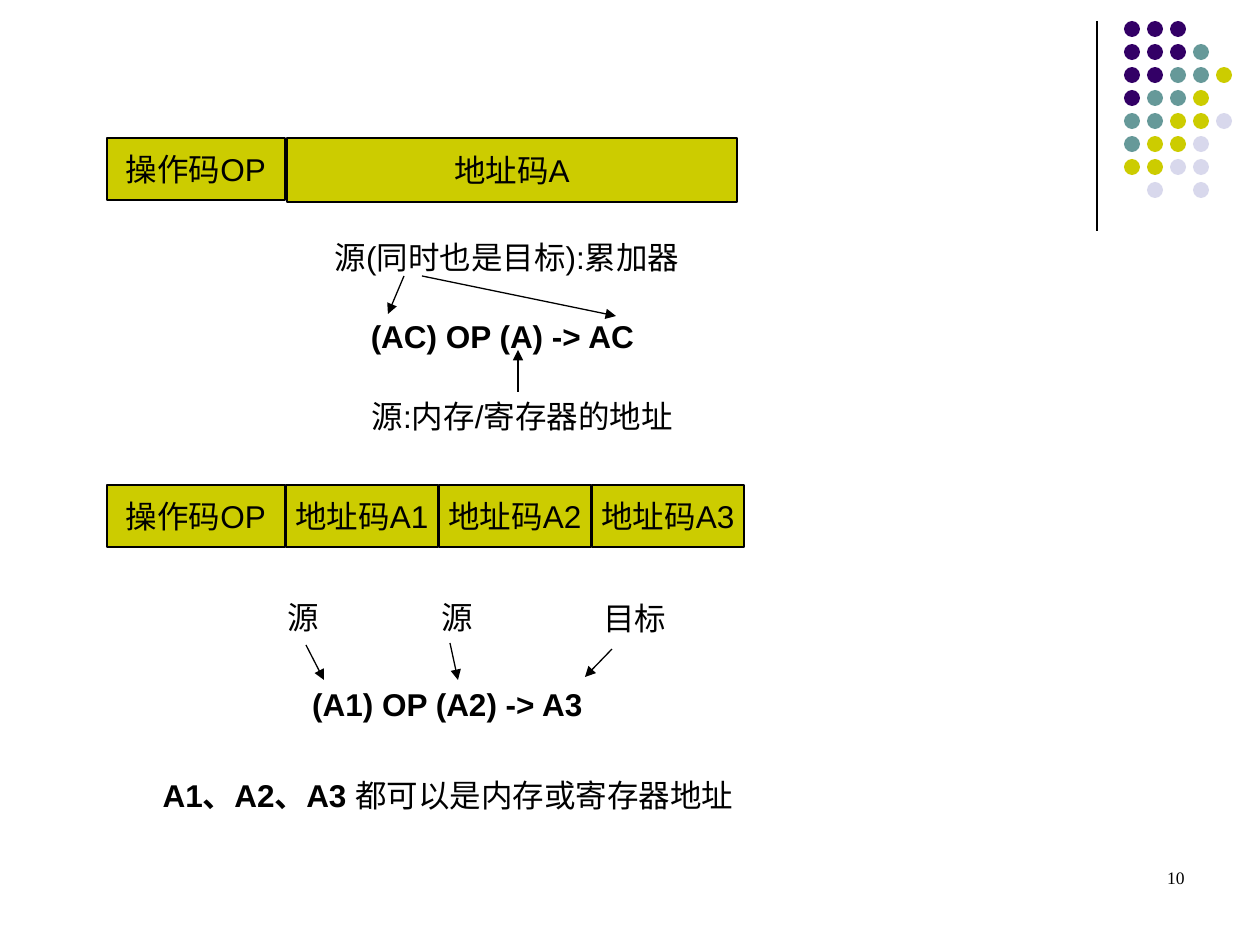
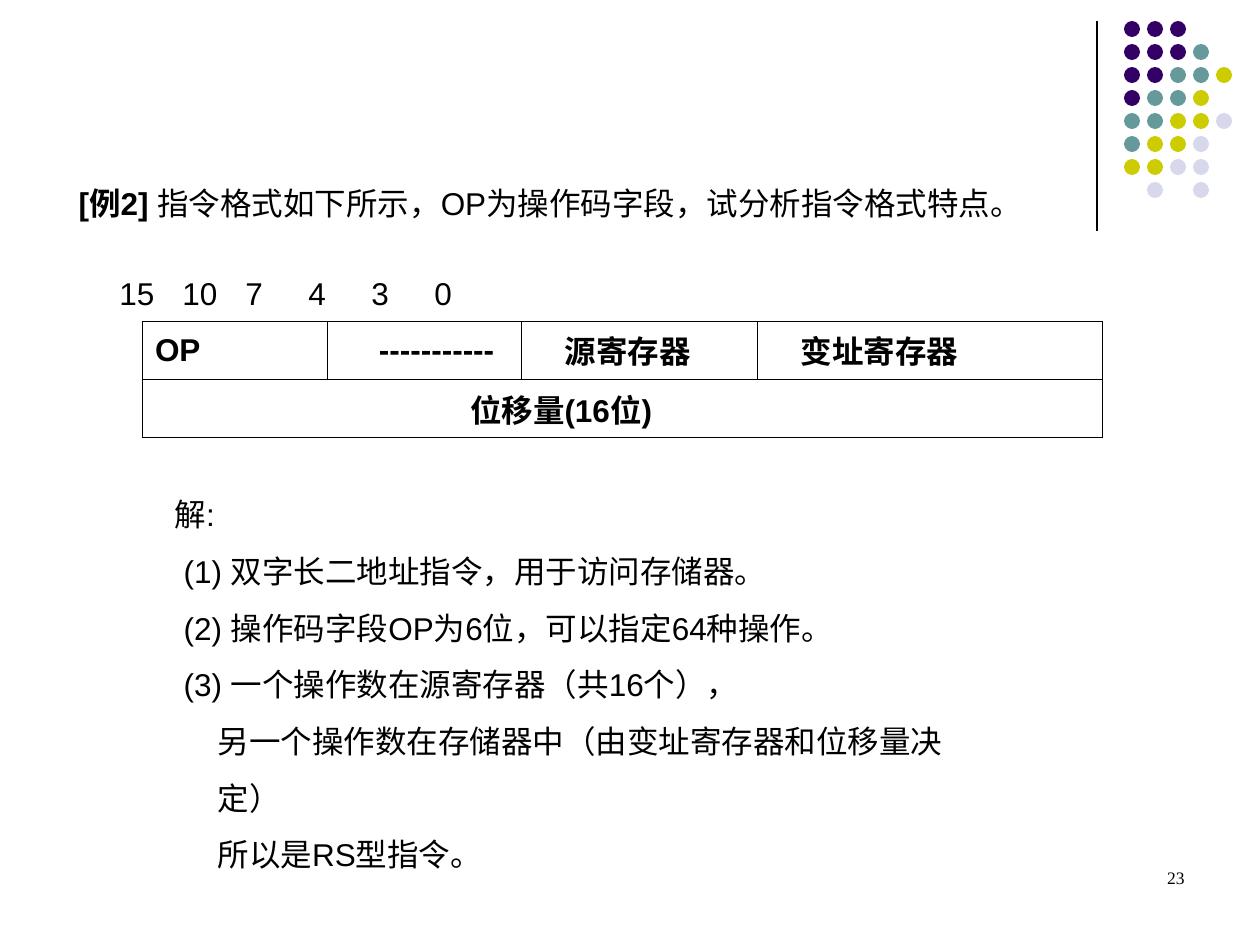
from typing import NamedTuple

from lxml.etree import SubElement
from pptx import Presentation
from pptx.dml.color import RGBColor
from pptx.enum.shapes import MSO_CONNECTOR as Link, MSO_SHAPE as Preset
from pptx.enum.text import MSO_ANCHOR as Anchor, MSO_AUTO_SIZE as AutoSize, PP_ALIGN as Align
from pptx.oxml.ns import qn
from pptx.util import Emu, Pt

# Shared look
BLACK, WHITE, OLIVE = "000000", "FFFFFF", "CCCC00"
DOT_COLORS = {"P": "330066", "T": "669999", "Y": OLIVE, "L": "D8D8EC"}
DOT_ROWS = ["PPP..", "PPPT.", "PPTTY", "PTTY.", "TTYYL", "TYYL.", "YYLL.", ".L.L."]
DOT_LEFT, DOT_TOP, DOT_SIZE, DOT_PITCH = 1124, 21, 16, 23
FONT, NUMBER_FONT = "Arial", "Times New Roman"
INSET = 13
TITLE_AND_CONTENT, BLANK = 1, 6


class Rect(NamedTuple):
    left: int
    top: int
    width: int
    height: int


class Span(NamedTuple):
    text: str
    bold: bool = False


class Field(NamedTuple):
    text: str
    area: Rect


class Label(NamedTuple):
    spans: list[Span]
    area: Rect
    align: Align = Align.CENTER


class Arrow(NamedTuple):
    x1: int
    y1: int
    x2: int
    y2: int


class Item(NamedTuple):
    text: str
    indent: int


class Column(NamedTuple):
    text: str
    width: int
    indent: int


def px(length: int) -> Emu:
    return Emu(round(length * 914400 / 126))


def rgb(value: str) -> RGBColor:
    return RGBColor.from_string(value)


# Text
def write(para, spans: list[Span], *, size: int = 18, font: str = FONT, align: Align = Align.LEFT,
          indent: int = 0, spacing: float = 1.0, tabs: tuple[int, ...] = ()) -> None:
    para.alignment, para.line_spacing = align, spacing
    para.space_before = Pt(0)
    props = para._p.get_or_add_pPr()
    props.set("marL", str(px(indent)))
    props.set("indent", "0")
    SubElement(props, qn("a:buNone"))
    if tabs:
        stops = SubElement(props, qn("a:tabLst"))
        for stop in tabs:
            SubElement(stops, qn("a:tab"), pos=str(px(stop)), algn="l")
    for span in spans:
        run = para.add_run()
        run.text = span.text
        run.font.name, run.font.size, run.font.bold = font, Pt(size), span.bold
        run.font.color.rgb = rgb(BLACK)


def set_frame(box, *, wrap: bool = False, anchor: Anchor = Anchor.MIDDLE):
    frame = box.text_frame
    frame.word_wrap, frame.vertical_anchor = wrap, anchor
    frame.auto_size = AutoSize.NONE
    return frame


def place(box, area: Rect) -> None:
    box.left, box.top, box.width, box.height = map(px, area)


def add_text(page, spans: list[Span], area: Rect, *, wrap: bool = False,
             anchor: Anchor = Anchor.MIDDLE, **style) -> None:
    box = page.shapes.add_textbox(*map(px, area))
    write(set_frame(box, wrap=wrap, anchor=anchor).paragraphs[0], spans, **style)


# Shapes and lines
def add_field(page, field: Field) -> None:
    box = page.shapes.add_shape(Preset.RECTANGLE, *map(px, field.area))
    box.shadow.inherit = False
    box.fill.solid()
    box.fill.fore_color.rgb = rgb(OLIVE)
    box.line.color.rgb, box.line.width = rgb(BLACK), Pt(0.75)
    write(set_frame(box).paragraphs[0], [Span(field.text)], align=Align.CENTER)


def add_line(page, arrow: Arrow, *, head: bool = True):
    line = page.shapes.add_connector(Link.STRAIGHT, *map(px, arrow))
    line.line.color.rgb, line.line.width = rgb(BLACK), Pt(0.75)
    if head:
        SubElement(line.line._get_or_add_ln(), qn("a:tailEnd"), type="triangle")
    SubElement(line.element.spPr, qn("a:effectLst"))
    return line


def decorate_master(deck, page) -> None:
    """Draw the rule and dot grid, then move them to the slide master."""
    rule = add_line(page, Arrow(1097, 21, 1097, 231), head=False)
    dots = page.shapes.add_group_shape()
    for row, codes in enumerate(DOT_ROWS):
        for column, code in enumerate(codes):
            if code == ".":
                continue
            dot = dots.shapes.add_shape(
                Preset.OVAL, px(DOT_LEFT + column * DOT_PITCH), px(DOT_TOP + row * DOT_PITCH),
                px(DOT_SIZE), px(DOT_SIZE))
            dot.shadow.inherit = False
            dot.fill.solid()
            dot.fill.fore_color.rgb = rgb(DOT_COLORS[code])
            dot.line.fill.background()
    tree = deck.slide_master.element.cSld.spTree
    tree.extend([rule.element, dots.element])
    for number, props in enumerate(tree.iter(qn("p:cNvPr")), start=1):
        props.set("id", str(number))


def add_page_number(page, number: int) -> None:
    add_text(page, [Span(str(number))], Rect(903, 861, 294, 63), wrap=True, anchor=Anchor.TOP,
             size=10, font=NUMBER_FONT, align=Align.RIGHT)


# Table
def format_cell(cell, text: str, indent: int) -> None:
    cell.fill.solid()
    cell.fill.fore_color.rgb = rgb(WHITE)
    cell.vertical_anchor = Anchor.MIDDLE
    cell.margin_left = px(INSET + indent)
    props = cell._tc.get_or_add_tcPr()
    for position, side in enumerate(("lnL", "lnR", "lnT", "lnB")):
        border = props.makeelement(qn(f"a:{side}"), {"w": str(Pt(0.34))})
        fill = SubElement(border, qn("a:solidFill"))
        SubElement(fill, qn("a:srgbClr"), val=BLACK)
        props.insert(position, border)
    if text:
        write(cell.text_frame.paragraphs[0], [Span(text, True)])


def add_format_table(page) -> None:
    columns = [Column("OP", 185, 0), Column("-----------", 194, 39),
               Column("源寄存器", 236, 31), Column("变址寄存器", 264, 31)]
    heights = (56, 51)
    area = Rect(142, 321, sum(column.width for column in columns), sum(heights))
    table = page.shapes.add_table(len(heights), len(columns), *map(px, area)).table
    table.first_row = table.horz_banding = False
    for row, height in zip(table.rows, heights):
        row.height = px(height)
    table.cell(1, 0).merge(table.cell(1, len(columns) - 1))
    for index, column in enumerate(columns):
        table.columns[index].width = px(column.width)
        format_cell(table.cell(0, index), column.text, column.indent)
        format_cell(table.cell(1, index), "" if index else "位移量(16位)", 0 if index else 315)


# Slides
def build_address_formats(page) -> None:
    fields = [Field("操作码OP", Rect(107, top, 178, 62)) for top in (138, 485)]
    fields.append(Field("地址码A", Rect(287, 138, 450, 64)))
    fields += [Field(f"地址码A{i + 1}", Rect(286 + 153 * i, 485, 152, 62)) for i in range(3)]
    for field in fields:
        add_field(page, field)

    labels = [
        Label([Span("源(同时也是目标):累加器")], Rect(486, 238, 42, 38)),
        Label([Span("(AC) OP (A) -> AC", True)], Rect(388, 312, 229, 47)),
        Label([Span("源:内存/寄存器的地址")], Rect(501, 397, 42, 38)),
        Label([Span("源")], Rect(275, 592, 57, 50), Align.LEFT),
        Label([Span("源")], Rect(429, 592, 57, 50), Align.LEFT),
        Label([Span("目标")], Rect(591, 593, 88, 50), Align.LEFT),
        Label([Span("(A1) OP (A2) -> A3", True)], Rect(333, 680, 229, 47)),
        Label([Span("A1、A2、A3 ", True), Span("都可以是内存或寄存器地址")],
              Rect(276, 772, 344, 45)),
    ]
    for label in labels:
        add_text(page, label.spans, label.area, align=label.align)

    for arrow in (Arrow(404, 276, 388, 314), Arrow(422, 276, 616, 316),
                  Arrow(518, 392, 518, 350), Arrow(306, 645, 324, 680),
                  Arrow(450, 643, 458, 680), Arrow(612, 649, 585, 677)):
        add_line(page, arrow)


def build_format_example(page) -> None:
    # Question
    title, body = page.placeholders
    place(title, Rect(66, 178, 1013, 50))
    write(set_frame(title).paragraphs[0],
          [Span("[例2] ", True), Span("指令格式如下所示，OP为操作码字段，试分析指令格式特点。")])

    # Bit positions above the instruction format
    add_text(page, [Span("15\t10\t7\t4\t3\t0")], Rect(107, 268, 930, 50), wrap=True,
             tabs=(151, 411, 601, 680, 878))
    add_format_table(page)

    # Answer
    items = [
        Item("解:", 0),
        Item("(1) 双字长二地址指令，用于访问存储器。", 9),
        Item("(2) 操作码字段OP为6位，可以指定64种操作。", 9),
        Item("(3) 一个操作数在源寄存器（共16个），", 9),
        Item("另一个操作数在存储器中（由变址寄存器和位移量决定）", 43),
        Item("所以是RS型指令。", 43),
    ]
    place(body, Rect(162, 470, 854, 353))
    frame = set_frame(body, wrap=True, anchor=Anchor.TOP)
    for index, item in enumerate(items):
        para = frame.add_paragraph() if index else frame.paragraphs[0]
        write(para, [Span(item.text)], indent=item.indent, spacing=1.5)


def main() -> None:
    deck = Presentation()
    deck.slide_width, deck.slide_height = px(1260), px(945)
    pages = [deck.slides.add_slide(deck.slide_layouts[index])
             for index in (BLANK, TITLE_AND_CONTENT)]
    decorate_master(deck, pages[0])
    for page, build, number in zip(pages, (build_address_formats, build_format_example), (10, 23)):
        build(page)
        add_page_number(page, number)
    deck.save("out.pptx")


if __name__ == "__main__":
    main()
